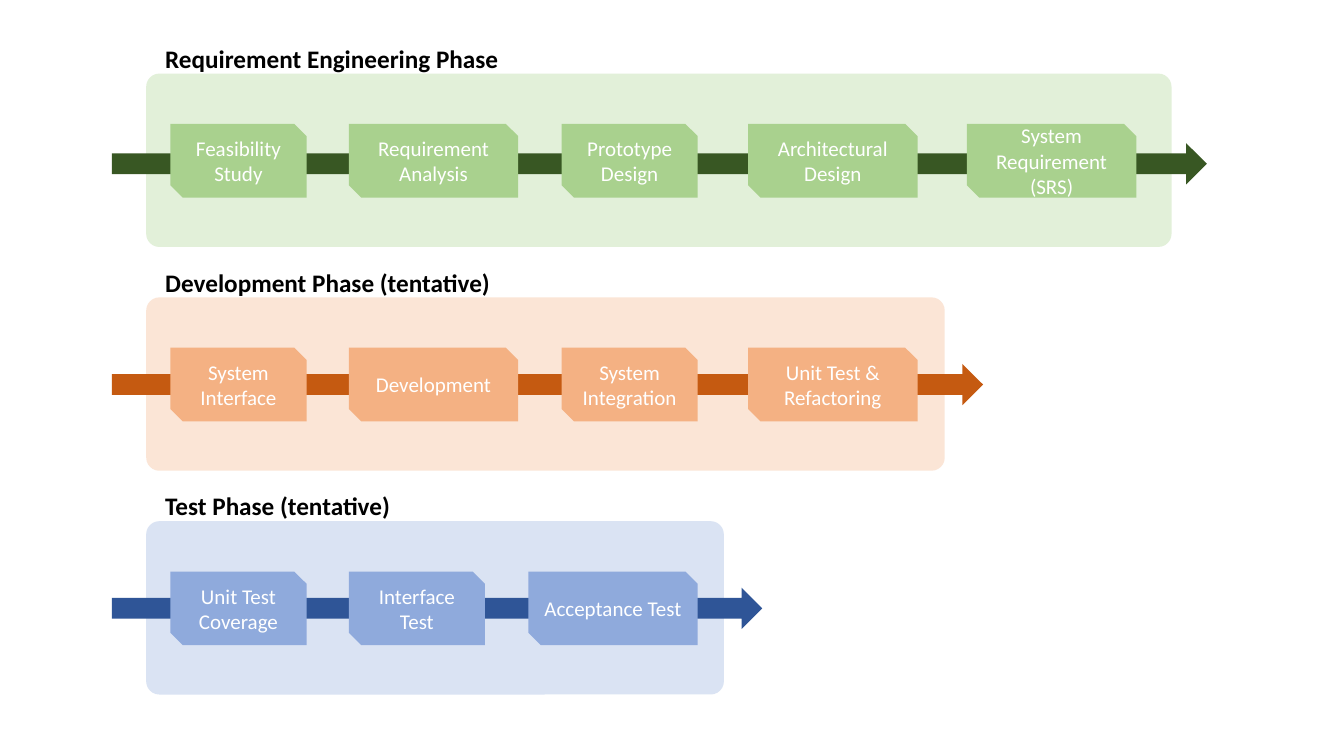
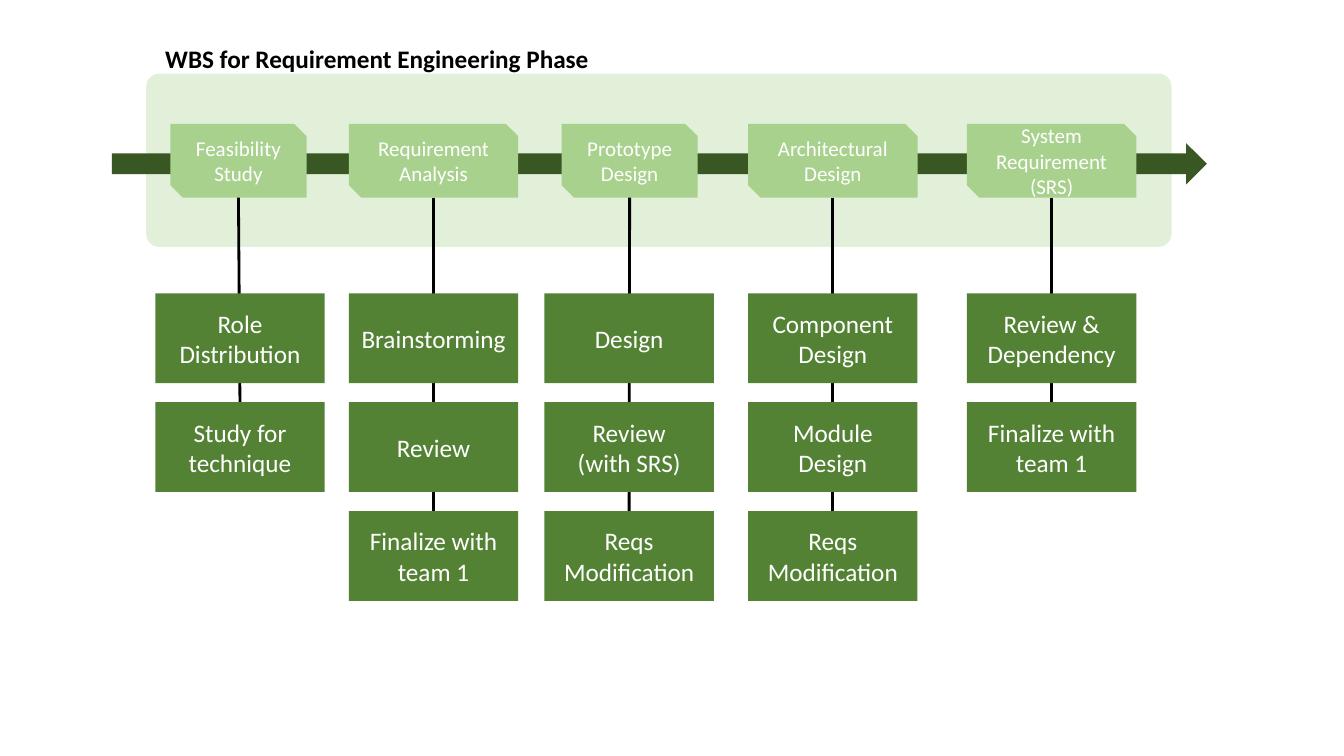
from pptx import Presentation
from pptx.util import Inches, Pt
from pptx.dml.color import RGBColor
from pptx.enum.shapes import MSO_SHAPE, MSO_CONNECTOR
from pptx.enum.text import PP_ALIGN, MSO_ANCHOR, MSO_AUTO_SIZE
from lxml import etree

FONT = "Calibri"
WHITE, BLACK, TASK = "FFFFFF", "000000", "548235"
NARROW, WIDE = 1.35, 1.68
GREEN = ("E2F0D9", "385723", "A9D18E")
ORANGE = ("FBE5D6", "C55A11", "F4B183")
BLUE = ("DAE3F3", "2F5597", "8FAADC")

REQS = [
    ("Feasibility\nStudy", 1.69, NARROW),
    ("Requirement Analysis", 3.46, WIDE),
    ("Prototype\nDesign", 5.57, NARROW),
    ("Architectural\nDesign", 7.42, WIDE),
    ("System\nRequirement\n(SRS)", 9.59, WIDE),
]
BUILD = [
    ("System\nInterface", 1.69, NARROW),
    ("Development", 3.46, WIDE),
    ("System\nIntegration", 5.57, NARROW),
    ("Unit Test &\nRefactoring", 7.42, WIDE),
]
TEST = [
    ("Unit Test\nCoverage", 1.69, NARROW),
    ("Interface Test", 3.46, NARROW),
    ("Acceptance Test", 5.24, WIDE),
]
PHASES = [
    dict(title="Requirement Engineering Phase", span=3.53, top=0.73,
         width=10.17, arrow=(0.69, 10.86), tones=GREEN, steps=REQS),
    dict(title="Development Phase (tentative)", span=3.45, top=2.95,
         width=7.92, arrow=(0.66, 8.64), tones=ORANGE, steps=BUILD),
    dict(title="Test Phase (tentative)", span=2.45, top=5.17,
         width=5.73, arrow=(0.66, 6.45), tones=BLUE, steps=TEST),
]
WBS = dict(PHASES[0], title="WBS for Requirement Engineering Phase", span=4.44)
TASKS = [
    (1.54, ["Role\nDistribution", "Study for technique"]),
    (3.46, ["Brainstorming", "Review", "Finalize with team 1"]),
    (5.4, ["Design", "Review\n(with SRS)", "Reqs\nModification"]),
    (7.42, ["Component\nDesign", "Module Design", "Reqs\nModification"]),
    (9.59, ["Review &\nDependency", "Finalize with team 1"]),
]
PANEL, STEP, DROP = 1.72, 0.73, 0.5
FIRST, PITCH, TALL = 2.91, 1.08, 0.89


def tint(code):
    return RGBColor.from_string(code)


def write(shape, text, size=15, color=WHITE, bold=False,
          align=PP_ALIGN.CENTER, anchor=MSO_ANCHOR.MIDDLE, wrap=True):
    frame = shape.text_frame
    frame.text = text
    frame.word_wrap = wrap
    frame.vertical_anchor = anchor
    for par in frame.paragraphs:
        par.alignment = align
        for run in par.runs:
            font = run.font
            font.name, font.size, font.bold = FONT, Pt(size), bold
            font.color.rgb = tint(color)


def block(slide, kind, x, y, w, h, fill):
    shape = slide.shapes.add_shape(
        kind, Inches(x), Inches(y), Inches(w), Inches(h))
    shape.shadow.inherit = False
    shape.fill.solid()
    shape.fill.fore_color.rgb = tint(fill)
    shape.line.fill.background()
    return shape


def link(slide, x1, y1, x2, y2):
    line = slide.shapes.add_connector(
        MSO_CONNECTOR.STRAIGHT, Inches(x1), Inches(y1), Inches(x2), Inches(y2))
    line.line.color.rgb = tint(BLACK)
    line.line.width = Pt(2)
    props = line._element.spPr
    space = props.nsmap["a"]
    etree.SubElement(props, f"{{{space}}}effectLst")


def band(slide, title, span, top, width, arrow, tones, steps):
    pale, dark, mid = tones
    panel = block(slide, MSO_SHAPE.ROUNDED_RECTANGLE, 1.45, top, width, PANEL, pale)
    panel.adjustments[0] = 0.076
    head = slide.shapes.add_textbox(
        Inches(1.54), Inches(top - 0.35), Inches(span), Inches(0.4))
    write(head, title, size=18, color=BLACK, bold=True,
          align=PP_ALIGN.LEFT, anchor=MSO_ANCHOR.TOP, wrap=False)
    head.text_frame.auto_size = MSO_AUTO_SIZE.SHAPE_TO_FIT_TEXT
    shift, length = arrow
    block(slide, MSO_SHAPE.RIGHT_ARROW, 1.11, top + shift, length, 0.41, dark)
    for text, x, w in steps:
        step = block(slide, MSO_SHAPE.SNIP_2_DIAG_RECTANGLE,
                     x, top + DROP, w, STEP, mid)
        write(step, text)


def tree(slide, top, steps):
    foot = top + DROP + STEP
    for (_, x, w), (left, tasks) in zip(steps, TASKS):
        last = FIRST + PITCH * (len(tasks) - 1)
        link(slide, x + w / 2, foot, left + WIDE / 2, last)
        for row, text in enumerate(tasks):
            task = block(slide, MSO_SHAPE.RECTANGLE,
                         left, FIRST + PITCH * row, WIDE, TALL, TASK)
            write(task, text, size=18)


deck = Presentation()
deck.slide_width, deck.slide_height = Inches(13.33), Inches(7.5)
blank = deck.slide_layouts[6]

plan = deck.slides.add_slide(blank)
for phase in PHASES:
    band(plan, **phase)

detail = deck.slides.add_slide(blank)
band(detail, **WBS)
tree(detail, WBS["top"], WBS["steps"])

deck.save("out.pptx")
